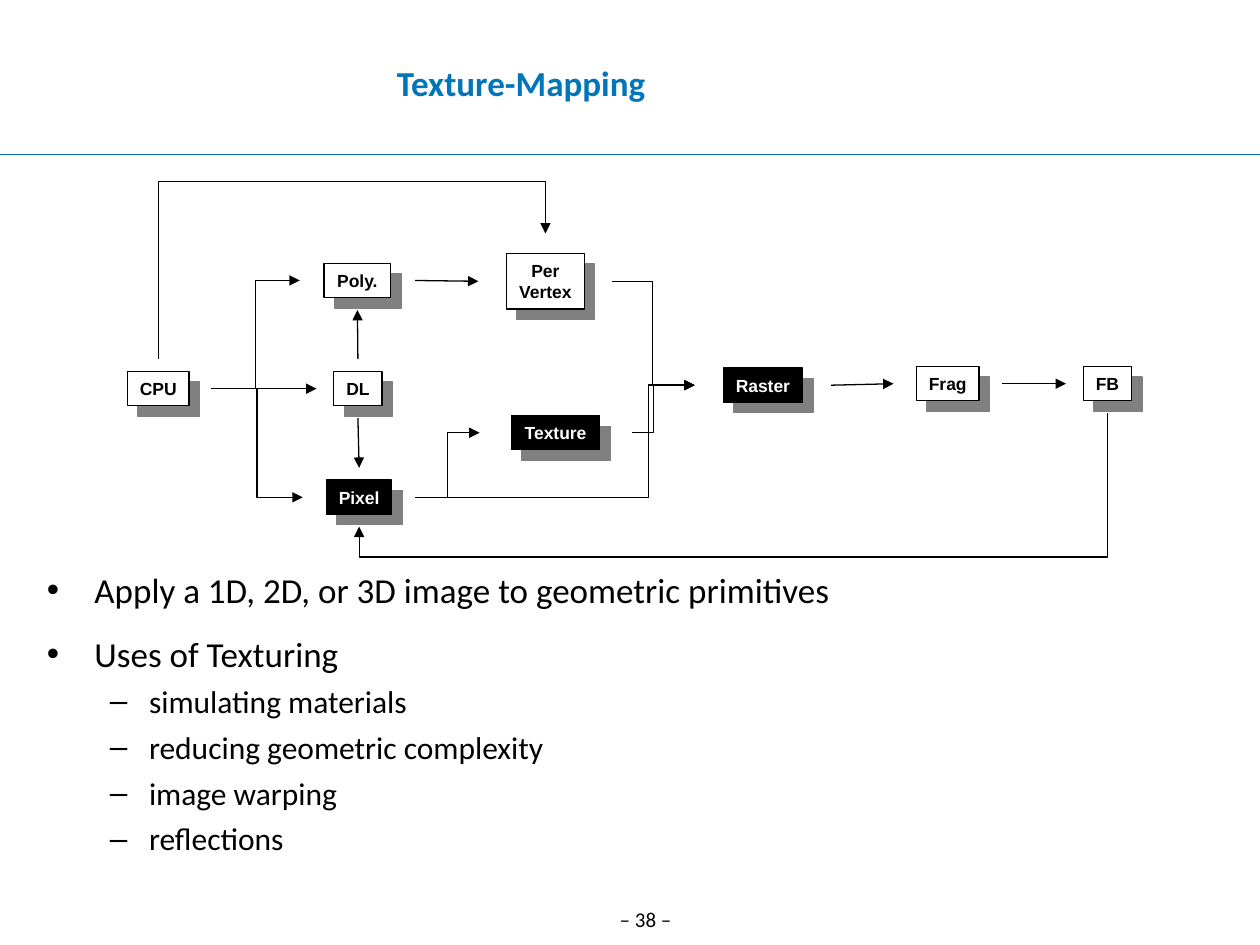
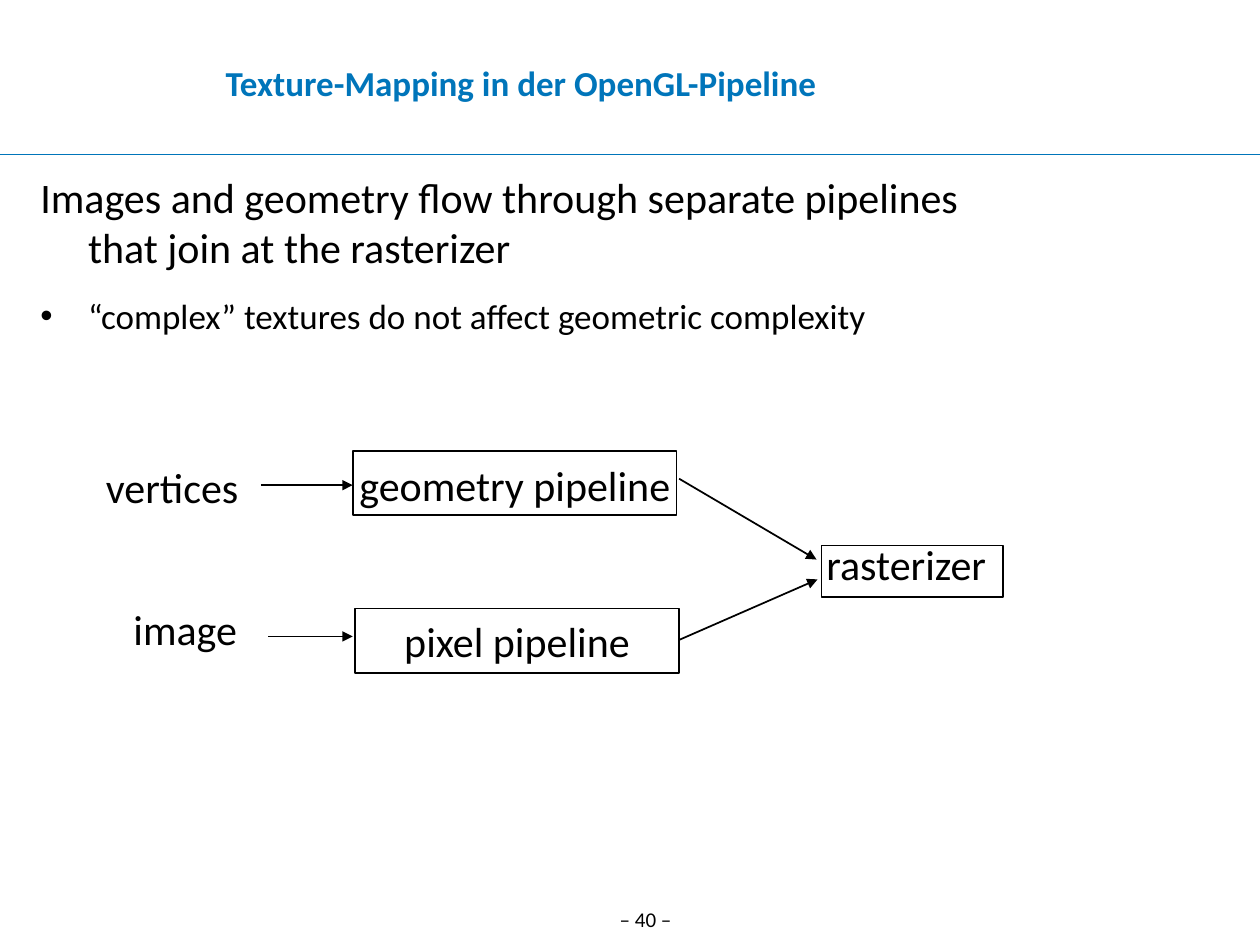
from copy import deepcopy
from dataclasses import dataclass

from lxml import etree
from pptx import Presentation
from pptx.dml.color import RGBColor
from pptx.enum.shapes import MSO_CONNECTOR, MSO_SHAPE
from pptx.enum.text import MSO_ANCHOR, MSO_AUTO_SIZE, PP_ALIGN
from pptx.oxml.ns import qn
from pptx.util import Cm, Pt

STRAIGHT, ELBOW = MSO_CONNECTOR.STRAIGHT, MSO_CONNECTOR.ELBOW
RECTANGLE = MSO_SHAPE.RECTANGLE
CENTER, LEFT = PP_ALIGN.CENTER, PP_ALIGN.LEFT
TOP, MIDDLE = MSO_ANCHOR.TOP, MSO_ANCHOR.MIDDLE
NO_FIT = MSO_AUTO_SIZE.NONE
TITLE_AND_CONTENT = 1
QUARTER_TURN = "5400000"


@dataclass(frozen=True)
class Theme:
    blue: str = "0075BA"
    black: str = "000000"
    white: str = "FFFFFF"
    grey: str = "808080"
    text_font: str = "Calibri"
    stage_font: str = "Arial"
    title_size: float = 20
    lead_size: float = 24
    bullet_size: float = 20
    dash_size: float = 18
    page_number_size: float = 12
    stage_size: float = 10
    thin: float = 0.75
    medium: float = 1


THEME = Theme()

# list style: level, left margin and hang in cm, space before in pt, size, mark
LIST_STYLES = {
    "lead": (0, 0.96, 0.96, 15, THEME.lead_size, None),
    "bullet": (0, 0.96, 0.96, 12.5, THEME.bullet_size, "•"),
    "dash": (1, 2.06, 0.79, 4.5, THEME.dash_size, "–"),
}


def apply(target, values):
    for name, value in values.items():
        setattr(target, name, value)


def port(place, side):
    """Point outside a stage box, 0.36 of the box size away from that side."""
    left, top, width, height = place
    across, down = {
        "left": (-0.36, 0.5), "right": (1.36, 0.5),
        "top": (0.5, -0.36), "bottom": (0.5, 1.36),
    }[side]
    return left + across * width, top + down * height


class SlideBuilder:
    def __init__(self, deck, theme):
        self.deck, self.theme, self.page = deck, theme, None

    def start(self, title, number):
        """Add a page with its title, rule and page number."""
        theme = self.theme
        layout = self.deck.slide_layouts[TITLE_AND_CONTENT]
        self.page = self.deck.slides.add_slide(layout)
        self.line((0, 3.12), (25.4, 3.12), color=theme.blue, arrow=False)
        self.label(f"– {number} –", (11.91, 18.16, 2.21, 0.89),
                   theme.page_number_size)
        box = self.page.shapes.title
        self.place(box, (0.51, 0.58, 19.99, 2.16))
        frame = box.text_frame
        apply(frame, dict.fromkeys(
            ("margin_left", "margin_right", "margin_top", "margin_bottom"), 0))
        apply(frame, {"auto_size": NO_FIT, "vertical_anchor": MIDDLE})
        self.set_text(frame.paragraphs[0], title, theme.title_size,
                      color=theme.blue, bold=True)

    def place(self, box, position):
        names = ("left", "top", "width", "height")
        apply(box, {name: Cm(value) for name, value in zip(names, position)})

    def set_text(self, para, text, size, font=None, color=None, bold=False,
                 align=CENTER):
        para.text = text
        para.alignment = align
        for span in para.runs:
            apply(span.font, {"name": font or self.theme.text_font,
                              "size": Pt(size), "bold": bold})
            span.font.color.rgb = RGBColor.from_string(color or self.theme.black)
        for line_break in para._p.findall(qn("a:br")):
            line_break.append(deepcopy(para.runs[0]._r.rPr))

    def bullets(self, position, items):
        box = self.page.placeholders[1]
        self.place(box, position)
        frame = box.text_frame
        apply(frame, {"auto_size": NO_FIT, "vertical_anchor": TOP})
        for index, (style, text) in enumerate(items):
            level, margin, hang, before, size, mark = LIST_STYLES[style]
            para = frame.add_paragraph() if index else frame.paragraphs[0]
            para.level = level
            settings = para._p.get_or_add_pPr()
            settings.set("marL", str(Cm(margin)))
            settings.set("indent", str(-Cm(hang)))
            if mark:
                color = etree.SubElement(settings, qn("a:buClr"))
                etree.SubElement(color, qn("a:srgbClr"), val=self.theme.black)
                etree.SubElement(settings, qn("a:buFont"), typeface="Arial")
                etree.SubElement(settings, qn("a:buChar"), char=mark)
            else:
                etree.SubElement(settings, qn("a:buNone"))
            para.space_before = Pt(before if index else 0)
            self.set_text(para, text, size, align=LEFT)

    def label(self, text, position, size):
        box = self.page.shapes.add_textbox(*map(Cm, position))
        apply(box.text_frame, {"word_wrap": False, "auto_size": NO_FIT})
        self.set_text(box.text_frame.paragraphs[0], text, size)

    def box(self, position, fill, width):
        box = self.page.shapes.add_shape(RECTANGLE, *map(Cm, position))
        box.shadow.inherit = False
        box.fill.solid()
        box.fill.fore_color.rgb = RGBColor.from_string(fill)
        box.line.color.rgb = RGBColor.from_string(self.theme.black)
        box.line.width = Pt(width)
        apply(box.text_frame, {"word_wrap": False, "vertical_anchor": MIDDLE})
        return box

    def stage(self, text, position, dark):
        """Shadowed pipeline box; each line of text is a paragraph."""
        theme = self.theme
        fill, ink = ((theme.black, theme.white) if dark
                     else (theme.white, theme.black))
        box = self.box(position, fill, theme.thin)
        shadow = etree.SubElement(
            box._element.spPr.find(qn("a:effectLst")), qn("a:outerShdw"),
            dist=str(Pt(8.5)), dir="2700000", algn="ctr", rotWithShape="0")
        etree.SubElement(shadow, qn("a:srgbClr"), val=theme.grey)
        frame = box.text_frame
        for index, line in enumerate(text.split("\n")):
            para = frame.add_paragraph() if index else frame.paragraphs[0]
            self.set_text(para, line, theme.stage_size, theme.stage_font, ink,
                          True)

    def line(self, start, end, kind=STRAIGHT, color=None, width=None, arrow=True):
        connector = self.page.shapes.add_connector(
            kind, *map(Cm, (*start, *end)))
        connector.line.color.rgb = RGBColor.from_string(color or self.theme.black)
        connector.line.width = Pt(width or self.theme.thin)
        properties = connector._element.spPr
        if arrow:
            etree.SubElement(properties.find(qn("a:ln")), qn("a:tailEnd"),
                             type="triangle")
        etree.SubElement(properties, qn("a:effectLst"))
        return properties

    def elbow(self, start, end, bend, vertical):
        """Arrow whose middle leg lies at bend: a y if vertical, else an x."""
        (x1, y1), (x2, y2) = start, end
        if vertical:
            ratio = (bend - y1) / (y2 - y1)
            middle_x, middle_y = (x1 + x2) / 2, (y1 + y2) / 2
            half_x, half_y = (y2 - y1) / 2, (x1 - x2) / 2
            start = middle_x - half_x, middle_y - half_y
            end = middle_x + half_x, middle_y + half_y
        else:
            ratio = (bend - x1) / (x2 - x1)
        properties = self.line(start, end, ELBOW)
        if vertical:
            properties.find(qn("a:xfrm")).set("rot", QUARTER_TURN)
        geometry = properties.find(qn("a:prstGeom"))
        guides = geometry.find(qn("a:avLst"))
        if guides is None:
            guides = etree.SubElement(geometry, qn("a:avLst"))
        etree.SubElement(guides, qn("a:gd"), name="adj1",
                         fmla=f"val {round(ratio * 100000)}")


def texture_mapping(builder):
    builder.start("Texture-Mapping", 38)
    builder.bullets((0.69, 11.33, 22.1, 7.39), [
        ("bullet", "Apply a 1D, 2D, or 3D image to geometric primitives"),
        ("bullet", "Uses of Texturing"),
        ("dash", "simulating materials"),
        ("dash", "reducing geometric complexity"),
        ("dash", "image warping"),
        ("dash", "reflections"),
    ])
    row = 0.69
    stages = {
        "CPU": (2.57, 7.49, 1.24, row),
        "DL": (6.73, 7.49, 0.97, row),
        "Poly.": (6.53, 5.31, 1.35, row),
        "Per\nVertex": (10.21, 5.11, 1.57, 1.12),
        "Raster": (14.58, 7.42, 1.6, row),
        "Frag": (18.47, 7.39, 1.27, row),
        "FB": (21.84, 7.39, 0.97, row),
        "Pixel": (6.58, 9.68, 1.32, row),
        "Texture": (10.31, 8.38, 1.78, row),
    }
    for name, position in stages.items():
        builder.stage(name, position, name in ("Raster", "Pixel", "Texture"))
    links = [
        ("CPU", "right", "DL", "left", None),
        ("CPU", "right", "Poly.", "left", 5.16),
        ("CPU", "right", "Pixel", "left", 5.18),
        ("CPU", "top", "Per\nVertex", "top", 3.66),
        ("DL", "top", "Poly.", "bottom", None),
        ("DL", "bottom", "Pixel", "top", None),
        ("Poly.", "right", "Per\nVertex", "left", None),
        ("Pixel", "right", "Texture", "left", 9.02),
        ("Pixel", "right", "Raster", "left", 13.08),
        ("Frag", "right", "FB", "left", None),
        ("Raster", "right", "Frag", "left", None),
        ("Texture", "right", "Raster", "left", 13.18),
        ("Per\nVertex", "right", "Raster", "left", 13.16),
        ("FB", "bottom", "Pixel", "bottom", 11.23),
    ]
    for source, exit_side, target, entry_side, bend in links:
        start = port(stages[source], exit_side)
        end = port(stages[target], entry_side)
        if bend is None:
            builder.line(start, end)
        else:
            builder.elbow(start, end, bend, exit_side in ("top", "bottom"))


def opengl_pipeline(builder):
    theme = builder.theme
    builder.start("Texture-Mapping in der OpenGL-Pipeline", 40)
    builder.bullets((0.56, 3.33, 24.84, 15.32), [
        ("lead", "Images and geometry flow through separate pipelines\v"
                 "that join at the rasterizer"),
        ("bullet", "“complex” textures do not affect geometric complexity"),
    ])
    builder.box((16.56, 11, 3.66, 1.04), theme.white, theme.medium)
    builder.box((7.11, 9.09, 6.53, 1.3), theme.white, theme.medium)
    pixel_box = builder.box((7.16, 12.27, 6.53, 1.3), theme.white, theme.medium)
    builder.set_text(pixel_box.text_frame.paragraphs[0], "pixel pipeline",
                     theme.lead_size)
    for text, left, top, width in [
        ("geometry pipeline", 6.99, 9.14, 6.78),
        ("vertices", 1.88, 9.17, 3.18),
        ("image", 2.44, 12.04, 2.59),
        ("rasterizer", 16.38, 10.74, 3.78),
    ]:
        builder.label(text, (left, top, width, 1.27), theme.lead_size)
    for start, end in [
        ((13.69, 9.65), (16.46, 11.28)),
        ((13.69, 12.9), (16.48, 11.68)),
        ((5.26, 9.78), (7.11, 9.78)),
        ((5.41, 12.83), (7.11, 12.83)),
    ]:
        builder.line(start, end, width=theme.medium)


def main():
    deck = Presentation()
    apply(deck, {"slide_width": Cm(25.4), "slide_height": Cm(19.05)})
    builder = SlideBuilder(deck, THEME)
    texture_mapping(builder)
    opengl_pipeline(builder)
    deck.save("out.pptx")


if __name__ == "__main__":
    main()
